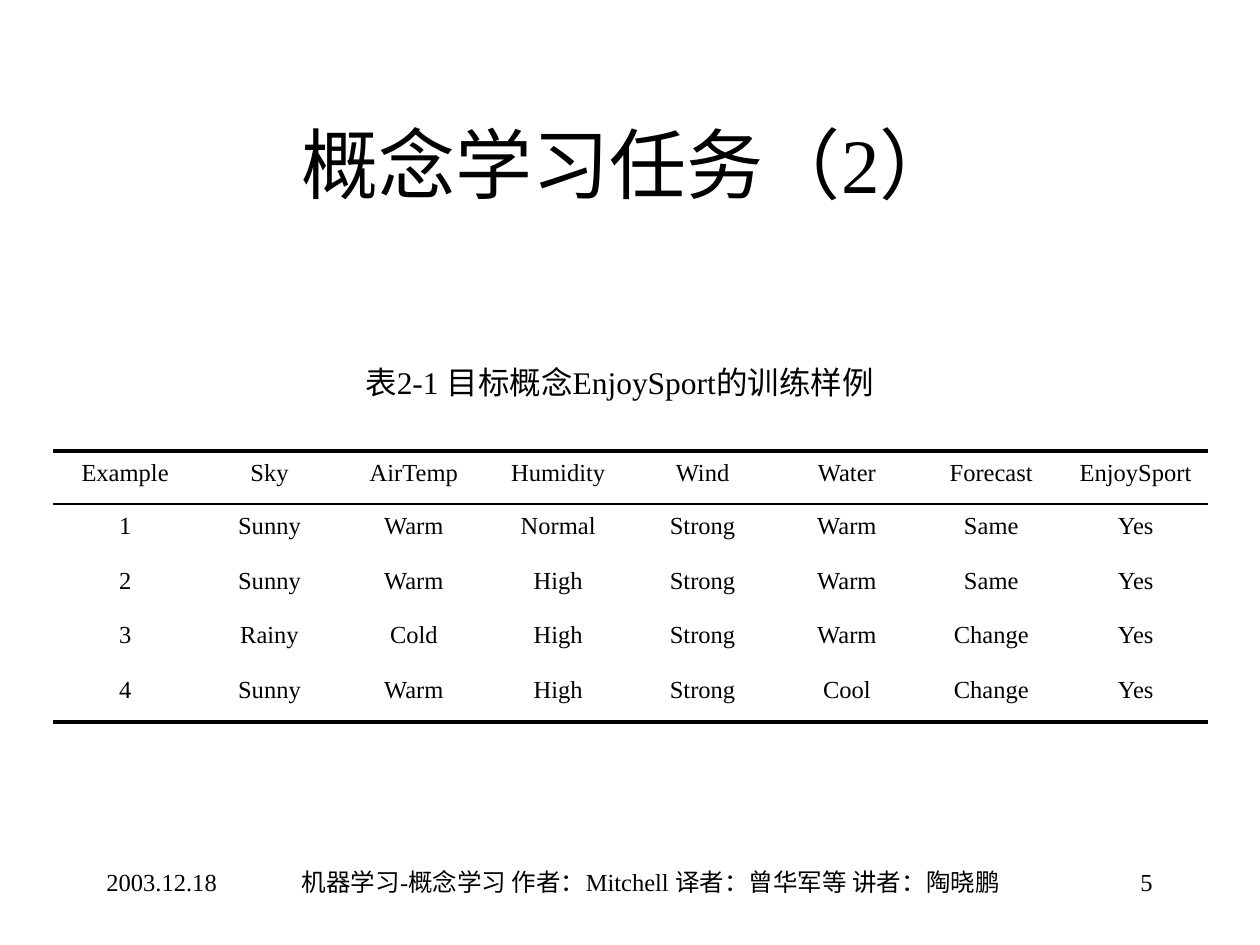
"""Build the slide with the EnjoySport training examples table."""
from lxml.etree import SubElement
from pptx import Presentation
from pptx.dml.color import RGBColor
from pptx.enum.shapes import MSO_CONNECTOR as Link
from pptx.enum.text import MSO_ANCHOR as Anchor, MSO_AUTO_SIZE as Fit, PP_ALIGN as Align
from pptx.oxml.ns import qn
from pptx.util import Pt

PX = 914400 // 126
FONT = "Times New Roman"
INK = "000000"

TITLE = ("概念学习任务（2）", (94, 84, 1071, 158))
BOXES = [
    ("表2-1 目标概念EnjoySport的训练样例", (336, 357, 567, 50), 18, Align.CENTER),
    ("2003.12.18", (94, 861, 147, 63), 14, Align.LEFT),
    ("机器学习-概念学习 作者：Mitchell 译者：曾华军等 讲者：陶晓鹏", (273, 861, 756, 63), 14, Align.CENTER),
    ("5", (1060, 861, 105, 63), 14, Align.RIGHT),
]
ROWS = [
    ("Example", "Sky", "AirTemp", "Humidity", "Wind", "Water", "Forecast", "EnjoySport"),
    ("1", "Sunny", "Warm", "Normal", "Strong", "Warm", "Same", "Yes"),
    ("2", "Sunny", "Warm", "High", "Strong", "Warm", "Same", "Yes"),
    ("3", "Rainy", "Cold", "High", "Strong", "Warm", "Change", "Yes"),
    ("4", "Sunny", "Warm", "High", "Strong", "Cool", "Change", "Yes"),
]
GRID = (53, 451, 1155, 271)
HEAD = 53
INSET = 9
RULES = [(0, 2.25), (HEAD, 1), (GRID[3], 2.25)]


def emu(spot):
    return [n * PX for n in spot]


def hue(code):
    return RGBColor.from_string(code)


def write(frame, text, size=14, align=Align.CENTER, anchor=Anchor.TOP):
    frame.word_wrap = True
    frame.vertical_anchor = anchor
    para = frame.paragraphs[0]
    para.alignment = align
    run = para.add_run()
    run.text = text
    run.font.size = Pt(size)
    run.font.name = FONT
    run.font.color.rgb = hue(INK)


def add_grid(slide):
    left, top, width, height = emu(GRID)
    count = len(ROWS[0])
    table = slide.shapes.add_table(len(ROWS), count, left, top, width, height).table
    table.first_row = table.horz_banding = False
    for col in table.columns:
        col.width = width // count
    for i, row in enumerate(table.rows):
        row.height = (height - HEAD * PX) // (len(ROWS) - 1) if i else HEAD * PX
        for cell, text in zip(row.cells, ROWS[i]):
            cell.fill.background()
            cell.margin_top = INSET * PX
            write(cell.text_frame, text)


def add_rules(slide):
    left, top, width, _ = GRID
    for drop, weight in RULES:
        ends = emu((left, top + drop, left + width, top + drop))
        rule = slide.shapes.add_connector(Link.STRAIGHT, *ends)
        rule.line.color.rgb = hue(INK)
        rule.line.width = Pt(weight)
        SubElement(rule._element.spPr, qn("a:effectLst"))


def main():
    deck = Presentation()
    deck.slide_width, deck.slide_height = emu((1260, 945))
    slide = deck.slides.add_slide(deck.slide_layouts[5])
    title = slide.shapes.title
    text, spot = TITLE
    title.left, title.top, title.width, title.height = emu(spot)
    title.text_frame.auto_size = Fit.NONE
    write(title.text_frame, text, size=44, anchor=Anchor.MIDDLE)
    add_grid(slide)
    add_rules(slide)
    for text, spot, size, align in BOXES:
        box = slide.shapes.add_textbox(*emu(spot))
        write(box.text_frame, text, size=size, align=align)
    deck.save("out.pptx")


if __name__ == "__main__":
    main()
